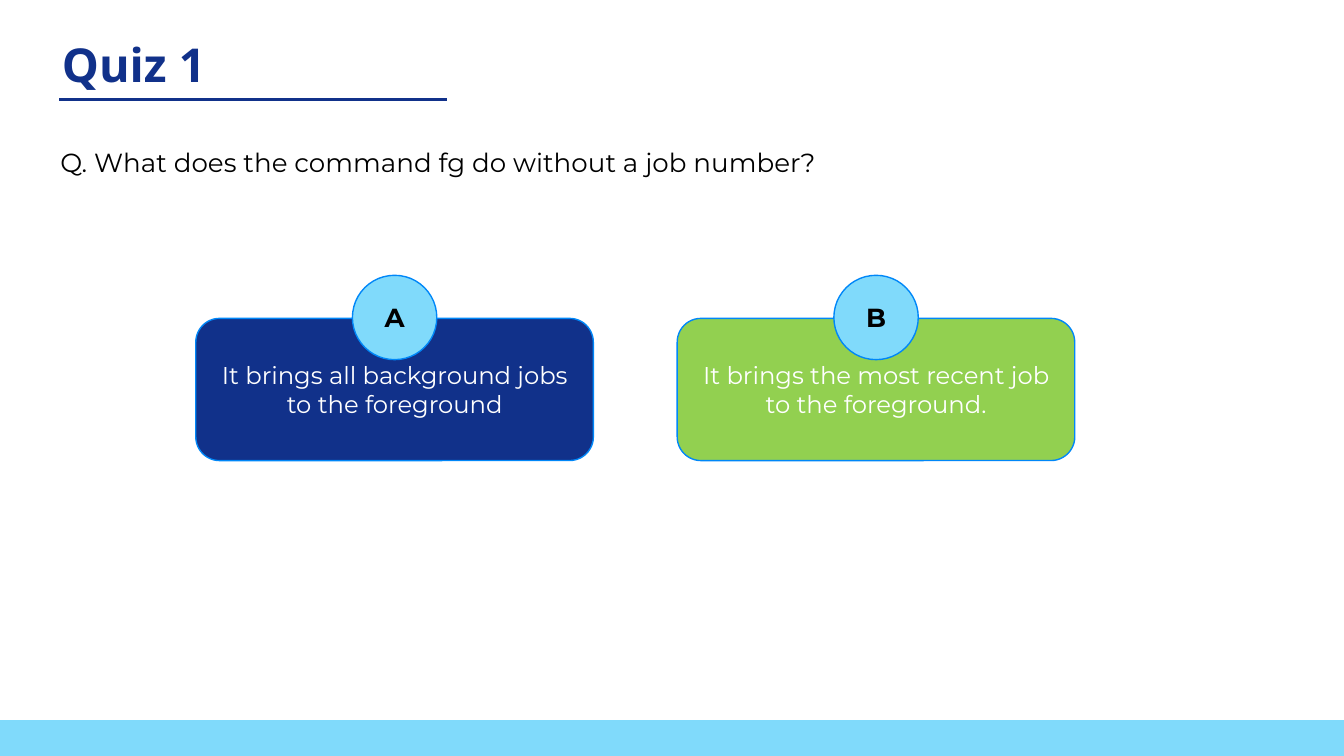
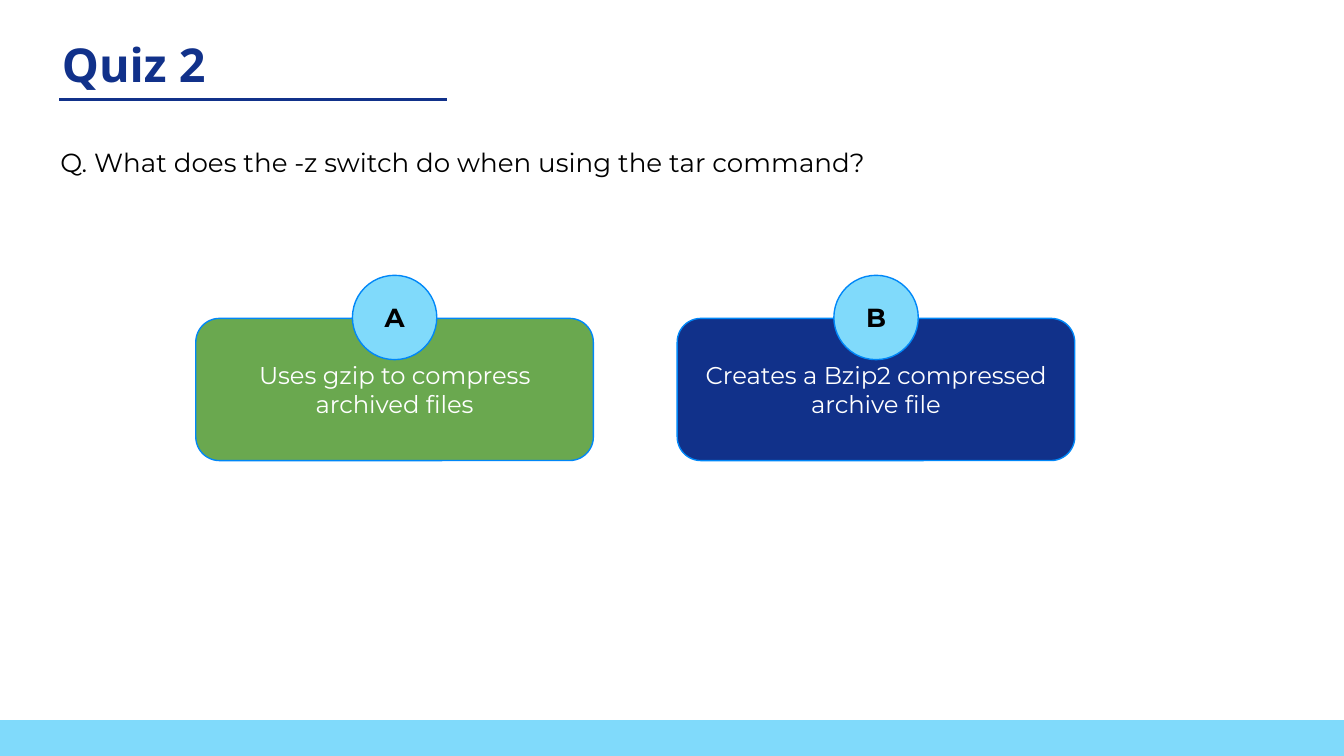
from lxml.etree import SubElement
from pptx import Presentation
from pptx.dml.color import RGBColor
from pptx.enum.shapes import MSO_CONNECTOR as Connector, MSO_SHAPE as Preset
from pptx.enum.text import MSO_ANCHOR as Anchor, MSO_AUTO_SIZE as AutoSize, PP_ALIGN as Align
from pptx.oxml.ns import qn
from pptx.util import Pt

NAVY = RGBColor(0x11, 0x31, 0x8A)
SKY = RGBColor(0x80, 0xDA, 0xFB)
OUTLINE = RGBColor(0x00, 0x87, 0xF8)
LIME = RGBColor(0x92, 0xD0, 0x50)
GREEN = RGBColor(0x6A, 0xA8, 0x4F)
WHITE = RGBColor(0xFF, 0xFF, 0xFF)
BLACK = RGBColor(0x00, 0x00, 0x00)

QUIZZES = [
    ("Quiz 1", "Q. What does the command fg do without a job number?", [
        ("A", "It brings all background jobs to the foreground", NAVY),
        ("B", "It brings the most recent job to the foreground.", LIME),
    ]),
    ("Quiz 2", "Q. What does the -z switch do when using the tar command?", [
        ("A", "Uses gzip to compress archived files", GREEN),
        ("B", "Creates a Bzip2 compressed archive file", NAVY),
    ]),
]

WIDTH, HEIGHT = 720, 405
BAND_TOP = 385.8
TITLE_BOX = (26, 12.2, 554, 58.3)
QUESTION_BOX = (25.2, 71.3, 654.5, 38.2)
RULE_LEFT, RULE_RIGHT, RULE_TOP = 31.7, 239.6, 53.3
CARD_LEFT, CARD_TOP, CARD_WIDTH, CARD_HEIGHT = 104.9, 170.6, 213, 76.2
CARD_PITCH = 257.9
BADGE_SIZE, BADGE_TOP = 45.2, 147.5

TITLE_FONT = {"name": "Noto Sans", "size": Pt(25), "bold": True}
QUESTION_FONT = {"name": "Montserrat", "size": Pt(14), "bold": False}
ANSWER_FONT = {"name": "Montserrat", "size": Pt(13), "bold": False}
BADGE_FONT = {"name": "Montserrat", "size": Pt(14), "bold": True}


def write(holder, text, font_format, color, align=Align.LEFT, anchor=Anchor.TOP):
    frame = holder.text_frame
    frame_format = {"word_wrap": True, "auto_size": AutoSize.NONE, "vertical_anchor": anchor}
    for side in ("left", "top", "right", "bottom"):
        frame_format[f"margin_{side}"] = Pt(7.2)
    for key, value in frame_format.items():
        setattr(frame, key, value)
    paragraph = frame.paragraphs[0]
    paragraph.alignment = align
    run = paragraph.add_run()
    run.text = text
    for key, value in font_format.items():
        setattr(run.font, key, value)
    run.font.color.rgb = color


def add_filled(slide, preset, box, fill, outline=None):
    part = slide.shapes.add_shape(preset, *map(Pt, box))
    part.shadow.inherit = False
    part.fill.solid()
    part.fill.fore_color.rgb = fill
    if outline is None:
        part.line.fill.background()
    else:
        part.line.color.rgb = outline
        part.line.width = Pt(0.75)
    return part


def add_heading(slide, heading):
    title = slide.shapes.title
    title.left, title.top, title.width, title.height = map(Pt, TITLE_BOX)
    write(title, heading, TITLE_FONT, NAVY)
    rule = slide.shapes.add_connector(
        Connector.STRAIGHT, *map(Pt, (RULE_LEFT, RULE_TOP, RULE_RIGHT, RULE_TOP)))
    rule.line.color.rgb = NAVY
    rule.line.width = Pt(1.5)
    SubElement(rule.element.spPr, qn("a:effectLst"))


def add_answer(slide, index, letter, answer, fill):
    left = CARD_LEFT + index * CARD_PITCH
    card = add_filled(slide, Preset.ROUNDED_RECTANGLE,
                      (left, CARD_TOP, CARD_WIDTH, CARD_HEIGHT), fill, OUTLINE)
    write(card, answer, ANSWER_FONT, WHITE, Align.CENTER, Anchor.MIDDLE)
    badge_left = left + (CARD_WIDTH - BADGE_SIZE) / 2
    badge = add_filled(slide, Preset.OVAL,
                       (badge_left, BADGE_TOP, BADGE_SIZE, BADGE_SIZE), SKY, OUTLINE)
    write(badge, letter, BADGE_FONT, BLACK, Align.CENTER, Anchor.MIDDLE)


def main():
    """Build the quiz slides and save them."""
    deck = Presentation()
    deck.slide_width, deck.slide_height = Pt(WIDTH), Pt(HEIGHT)
    for heading, question, answers in QUIZZES:
        slide = deck.slides.add_slide(deck.slide_layouts[5])
        add_filled(slide, Preset.RECTANGLE, (0, BAND_TOP, WIDTH, HEIGHT - BAND_TOP), SKY)
        for index, answer in enumerate(answers):
            add_answer(slide, index, *answer)
        question_box = slide.shapes.add_textbox(*map(Pt, QUESTION_BOX))
        write(question_box, question, QUESTION_FONT, BLACK)
        add_heading(slide, heading)
    deck.save("out.pptx")


if __name__ == "__main__":
    main()
